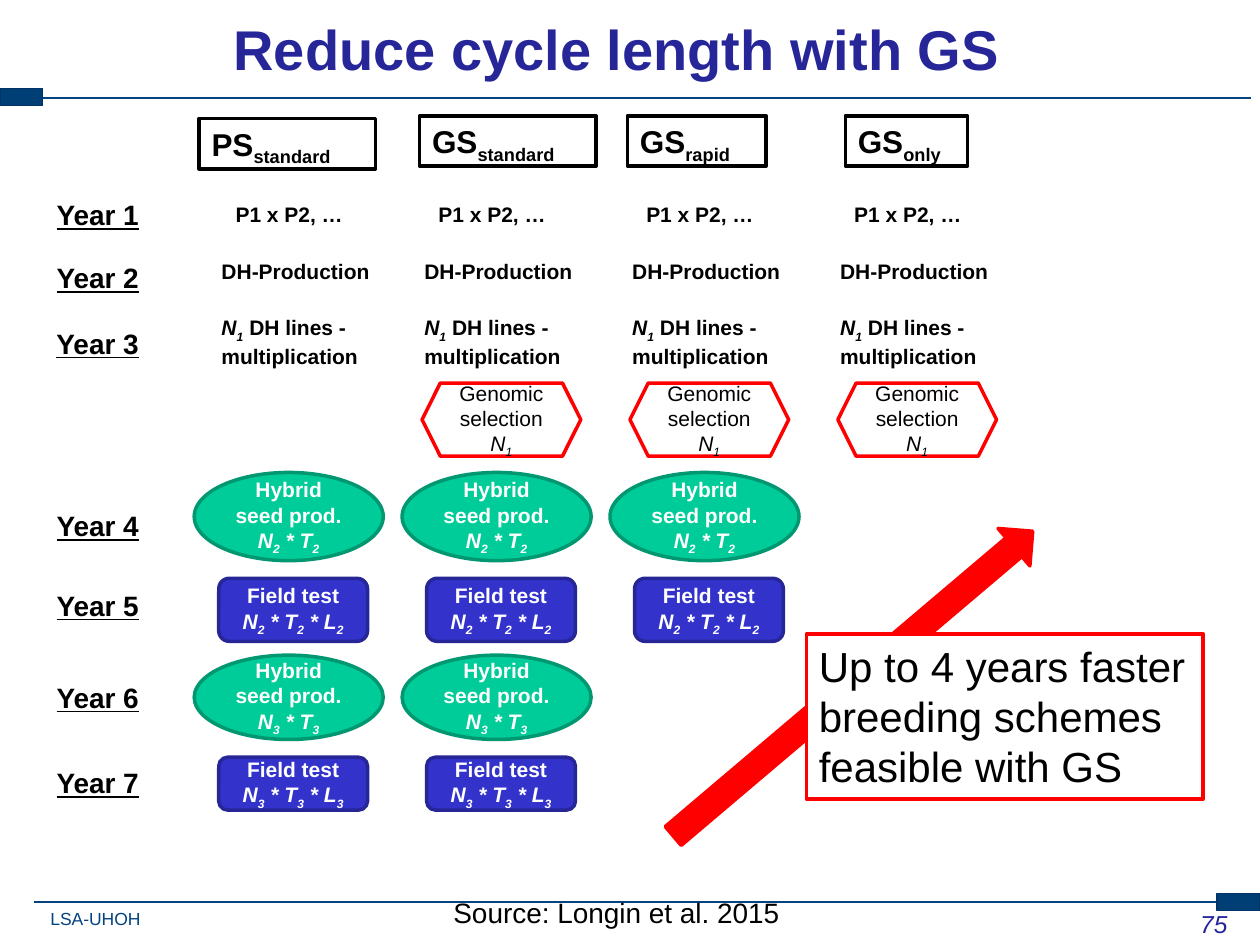
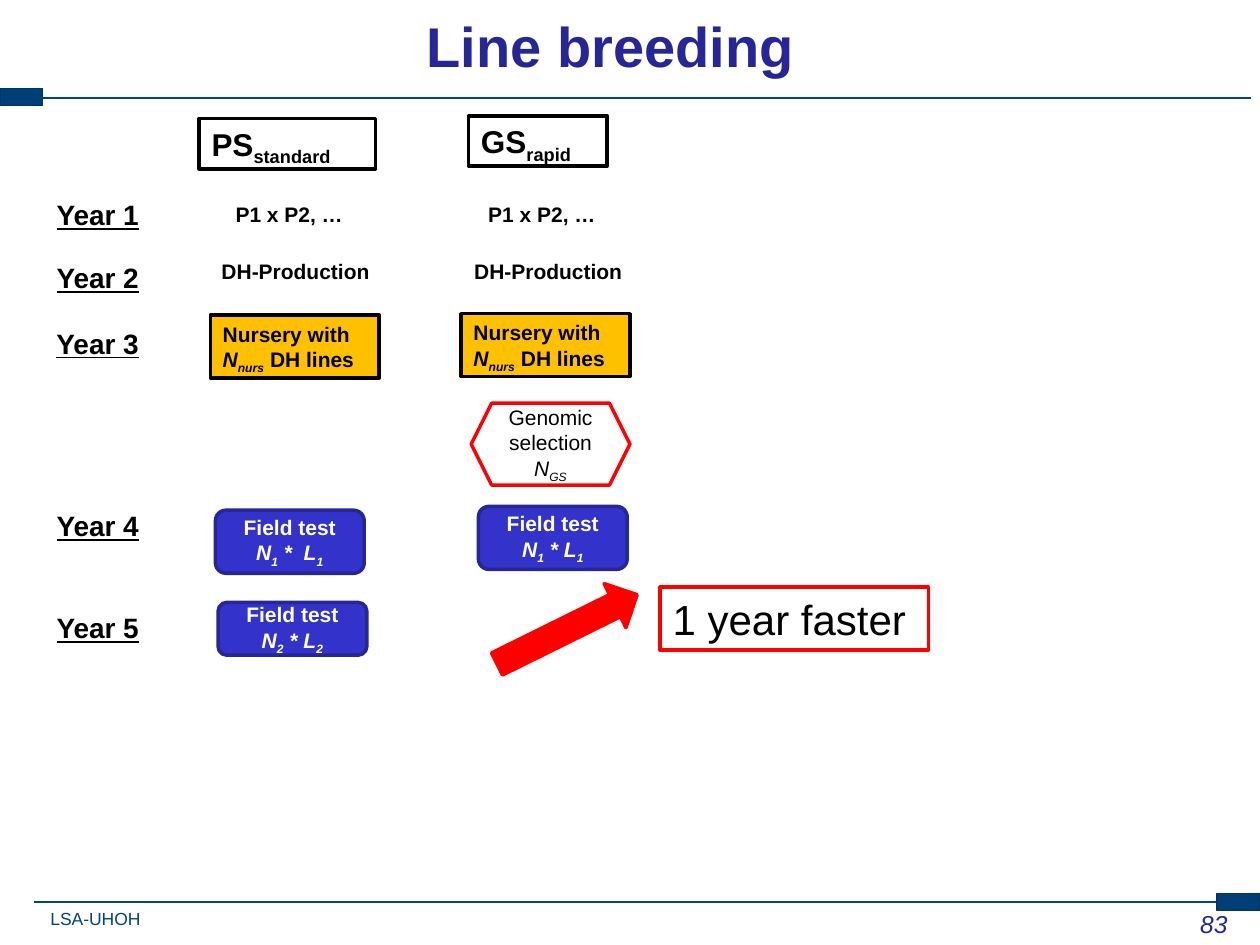
from pptx import Presentation
from pptx.dml.color import RGBColor
from pptx.enum.shapes import MSO_CONNECTOR, MSO_SHAPE
from pptx.enum.text import MSO_ANCHOR, MSO_AUTO_SIZE, PP_ALIGN
from pptx.oxml.ns import qn
from pptx.util import Pt
from lxml import etree

BLACK = RGBColor(0x00, 0x00, 0x00)
WHITE = RGBColor(0xFF, 0xFF, 0xFF)
RED = RGBColor(0xFF, 0x00, 0x00)
AMBER = RGBColor(0xFF, 0xC0, 0x00)
GREEN = RGBColor(0x00, 0xCC, 0x99)
DARK_GREEN = RGBColor(0x00, 0x97, 0x71)
BLUE = RGBColor(0x33, 0x33, 0xCC)
DARK_BLUE = RGBColor(0x26, 0x26, 0x97)
TITLE_BLUE = RGBColor(0x26, 0x26, 0x99)
RULE_BLUE = RGBColor(0x03, 0x43, 0x80)
BAND_BLUE = RGBColor(0x00, 0x3F, 0x75)
BAND_EDGE = RGBColor(0x00, 0x33, 0x66)

RECT = MSO_SHAPE.RECTANGLE
ROUNDED = MSO_SHAPE.ROUNDED_RECTANGLE
OVAL = MSO_SHAPE.OVAL
HEXAGON = MSO_SHAPE.HEXAGON
ARROW = MSO_SHAPE.RIGHT_ARROW
STRAIGHT = MSO_CONNECTOR.STRAIGHT
TOP, MIDDLE = MSO_ANCHOR.TOP, MSO_ANCHOR.MIDDLE
LEFT, CENTER, RIGHT = PP_ALIGN.LEFT, PP_ALIGN.CENTER, PP_ALIGN.RIGHT
GROW, FIXED = MSO_AUTO_SIZE.SHAPE_TO_FIT_TEXT, MSO_AUTO_SIZE.NONE

FONT = "Arial"
PITCH = 118.8
YEAR_TOPS = [109.4, 145.4, 182.9, 287.3]
YEAR_WIDTHS = [73.4, 65.5, 82.1, 73.4, 65.5, 65.5, 65.5]


def rich(text, italic=False):
    """Split text at bars into (text, italic, subscript) runs; every second part is a subscript."""
    parts = text.split("|")
    return [(part, italic, i % 2 == 1) for i, part in enumerate(parts) if part]


class Deck:
    def __init__(self):
        self.presentation = Presentation()
        self.presentation.slide_width = Pt(720)
        self.presentation.slide_height = Pt(540)
        self.slide = None

    def new_slide(self, title, title_left, title_top, number):
        self.slide = self.presentation.slides.add_slide(self.presentation.slide_layouts[6])
        self.rule(19.4, 712.8, 515.5)
        self.text(28.8, 519.1, 51.8, 12.2, [rich("LSA-UHOH")], 10, RULE_BLUE,
                  wrap=False, inset=0)
        self.rule(22.3, 715, 56.2)
        for left, top in [(695.5, 510.5), (0, 50.4)]:
            self.shape(RECT, left, top, 24.5, 10, BAND_BLUE, BAND_EDGE, 0.75)
        self.text(558.7, 516.2, 149.8, 36, [rich(number, italic=True)], 14, TITLE_BLUE,
                  align=RIGHT, fit=FIXED)
        self.text(title_left, title_top, 733.7, 71.3, [rich(title)], 32, TITLE_BLUE,
                  bold=True, align=CENTER, anchor=MIDDLE, fit=FIXED)

    def rule(self, left, right, top):
        line = self.slide.shapes.add_connector(STRAIGHT, Pt(left), Pt(top), Pt(right), Pt(top))
        line.line.color.rgb = RULE_BLUE
        line.line.width = Pt(1)
        etree.SubElement(line._element.spPr, qn("a:effectLst"))

    def shape(self, kind, left, top, width, height, fill, edge, edge_width=2):
        shape = self.slide.shapes.add_shape(kind, Pt(left), Pt(top), Pt(width), Pt(height))
        shape.shadow.inherit = False
        if fill is None:
            shape.fill.background()
        else:
            shape.fill.solid()
            shape.fill.fore_color.rgb = fill
        shape.line.color.rgb = edge
        shape.line.width = Pt(edge_width)
        return shape

    def label(self, shape, paragraphs, size, color, bold=False, underline=False,
              align=LEFT, anchor=TOP, fit=GROW, wrap=True, inset=None):
        frame = shape.text_frame
        frame.word_wrap = wrap
        frame.auto_size = fit
        frame.vertical_anchor = anchor
        if inset is not None:
            frame.margin_left = frame.margin_right = Pt(inset)
            frame.margin_top = frame.margin_bottom = Pt(inset)
        for i, runs in enumerate(paragraphs):
            paragraph = frame.add_paragraph() if i else frame.paragraphs[0]
            paragraph.alignment = align
            for text, italic, subscript in runs:
                run = paragraph.add_run()
                run.text = text
                font = run.font
                font.name, font.size = FONT, Pt(size)
                font.color.rgb = color
                font.bold, font.italic, font.underline = bold, italic, underline
                if subscript:
                    run._r.get_or_add_rPr().set("baseline", "-25000")

    def text(self, left, top, width, height, paragraphs, size, color=BLACK, **style):
        box = self.slide.shapes.add_textbox(Pt(left), Pt(top), Pt(width), Pt(height))
        self.label(box, paragraphs, size, color, **style)

    def years(self, tops):
        for i, (top, width) in enumerate(zip(tops, YEAR_WIDTHS), 1):
            self.text(25.2, top, width, 26.6, [rich(f"Year {i}")], 16, bold=True, underline=True)

    def scheme_name(self, left, top, width, name):
        box = self.shape(RECT, left, top, width, 28.8, WHITE, BLACK)
        self.label(box, [rich(name)], 18, BLACK, bold=True)

    def crossing(self, left):
        """The steps of years 1 and 2, which all schemes share."""
        self.text(left + 8, 111.6, 85, 21.6, [rich("P1 x P2, …")], 12, bold=True)
        self.text(left, 144, 108, 21.6, [rich("DH-Production")], 12, bold=True)

    def multiplication(self, left):
        runs = rich("N|1|", italic=True) + rich(" DH lines - multiplication")
        self.text(left, 176.4, 96.5, 36, [runs], 12, bold=True)

    def nursery(self, left, top):
        box = self.shape(RECT, left, top, 96.5, 36, AMBER, BLACK)
        runs = rich("Nursery with ") + rich("N|nurs|", italic=True) + rich(" DH lines")
        self.label(box, [runs], 12, BLACK, bold=True)

    def genomic_selection(self, left, top, height, lines):
        hexagon = self.shape(HEXAGON, left, top, 90.7, height, None, RED)
        runs = rich("Genomic selection ") + rich(lines, italic=True)
        self.label(hexagon, [runs], 12, BLACK, align=CENTER, anchor=MIDDLE, fit=FIXED)

    def stage(self, shape, title, formula):
        self.label(shape, [rich(title), rich(formula, italic=True)], 12, WHITE, bold=True,
                   align=CENTER, anchor=MIDDLE, fit=FIXED)

    def seed_production(self, left, top, height, formula):
        oval = self.shape(OVAL, left, top, 108, height, GREEN, DARK_GREEN)
        self.stage(oval, "Hybrid seed prod.", formula)

    def field_test(self, left, top, height, formula):
        box = self.shape(ROUNDED, left, top, 85, height, BLUE, DARK_BLUE)
        self.stage(box, "Field test", formula)

    def arrow(self, left, top, width, rotation):
        self.shape(ARROW, left, top, width, 28.1, RED, RED).rotation = rotation

    def message(self, left, top, width, height, text):
        box = self.shape(RECT, left, top, width, height, WHITE, RED)
        self.label(box, [rich(text)], 24, BLACK)


def hybrid_breeding(deck):
    deck.new_slide("Reduce cycle length with GS", -14.4, -7.9, "75")
    deck.text(252, 508.3, 207.4, 26.6, [rich("Source: Longin et al. 2015")], 16, wrap=False)
    deck.years(YEAR_TOPS + [332.6, 385.2, 434.2])

    # name, left, top, width, and number of seed production and field test cycles
    schemes = [("PS|standard|", 113.8, 67.7, 100.8, 2),
               ("GS|standard|", 239.8, 66.2, 100.8, 2),
               ("GS|rapid|", 358.6, 66.2, 79.2, 1),
               ("GS|only|", 483.1, 66.2, 69.8, 0)]
    # index, seed production top and height, field test top and height
    cycles = [(2, 270, 50.4, 330.5, 36), (3, 374.4, 48.2, 432.7, 30.2)]
    for column, (name, left, top, width, cycle_count) in enumerate(schemes):
        shift = column * PITCH
        text_left = 116.6 + shift if column else 119.5
        deck.scheme_name(left, top, width, name)
        deck.crossing(text_left)
        deck.multiplication(text_left)
        if column:
            deck.genomic_selection(text_left + 5.8, 218.9, 41.8, "N|1|")
        for n, seed_top, seed_height, test_top, test_height in cycles[:cycle_count]:
            deck.seed_production(111 + shift, seed_top, seed_height, f"N|{n}| * T|{n}|")
            deck.field_test(125 + shift, test_top, test_height, f"N|{n}| * T|{n}| * L|{n}|")

    deck.arrow(352.8, 376.6, 269.3, 319.7)
    deck.message(460.8, 362.2, 226.8, 94.3,
                 "Up to 4 years faster breeding schemes feasible with GS")


def line_breeding(deck):
    deck.new_slide("Line breeding", -18, -10.1, "83")
    deck.years(YEAR_TOPS + [345.6])

    deck.scheme_name(113.8, 67.7, 100.8, "PS|standard|")
    deck.crossing(119.5)
    deck.nursery(120.2, 180)
    deck.field_test(123.1, 291.6, 36, "N|1| *  L|1|")
    deck.field_test(124.6, 344.2, 30.2, "N|2| * L|2|")

    deck.scheme_name(267.8, 66.2, 79.2, "GS|rapid|")
    deck.crossing(263.9)
    deck.nursery(263.5, 179.3)
    deck.genomic_selection(269.3, 230.4, 46.8, "N|GS|")
    deck.field_test(273.4, 289.4, 36, "N|1| * L|1|")

    deck.arrow(279.4, 345.6, 89.3, 333.7)
    deck.message(377.3, 335.5, 153.4, 36, "1 year faster")


def main():
    deck = Deck()
    hybrid_breeding(deck)
    line_breeding(deck)
    deck.presentation.save("out.pptx")


if __name__ == "__main__":
    main()
